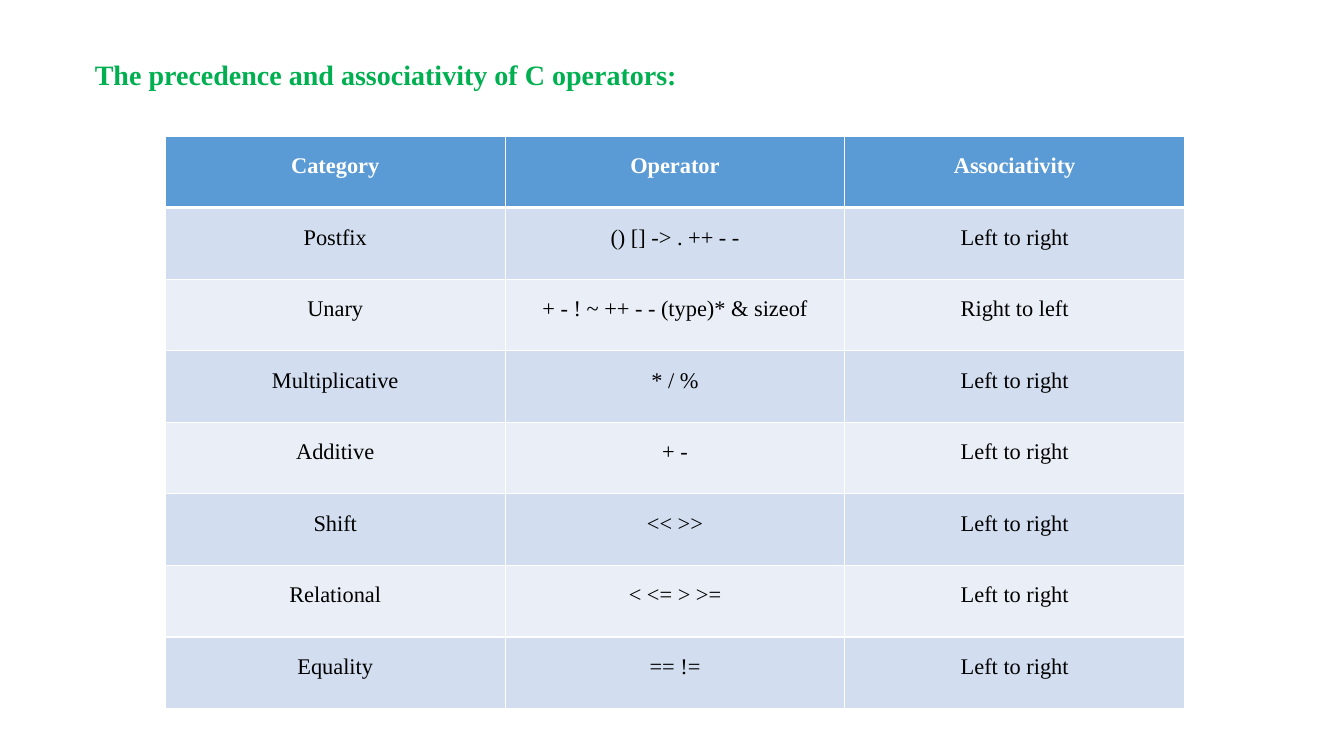
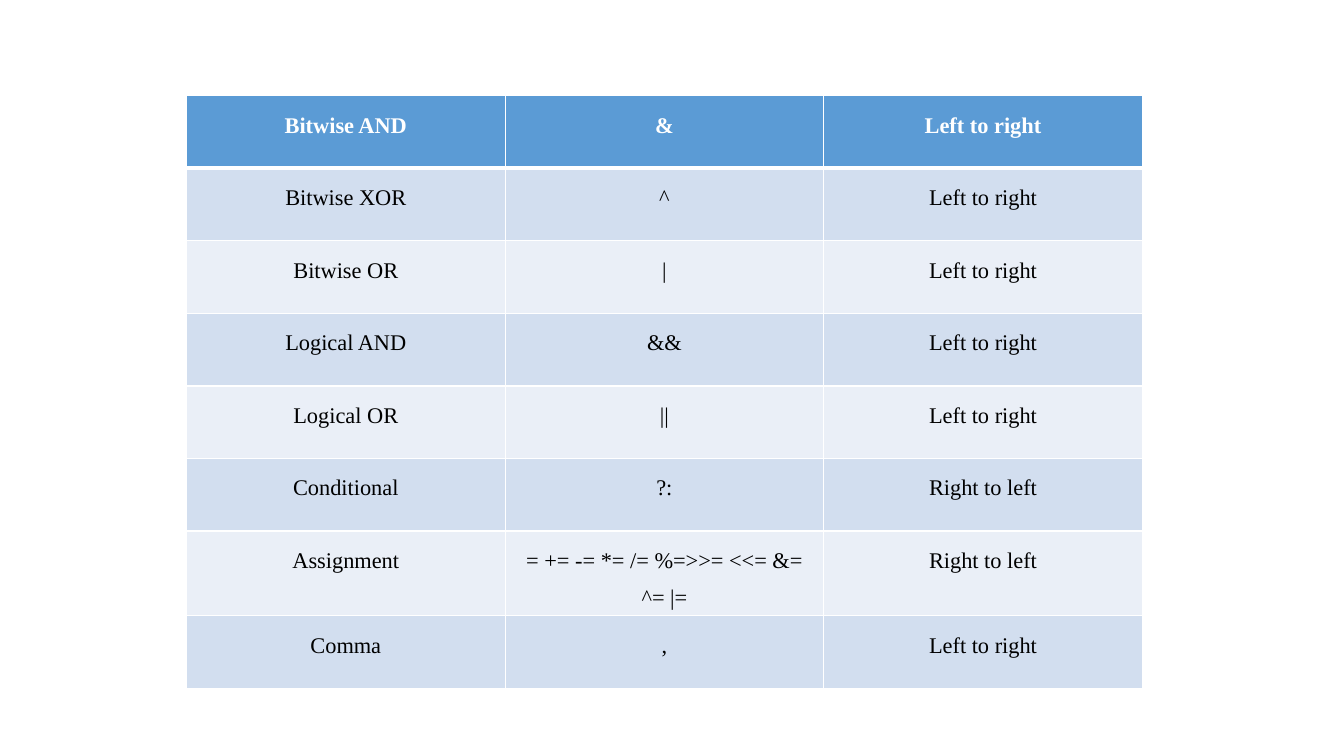
from dataclasses import dataclass
from lxml import etree
from pptx import Presentation
from pptx.dml.color import RGBColor
from pptx.enum.text import MSO_ANCHOR, MSO_AUTO_SIZE, PP_ALIGN
from pptx.oxml.ns import qn
from pptx.util import Inches, Pt

TOP = MSO_ANCHOR.TOP
LEFT, CENTER = PP_ALIGN.LEFT, PP_ALIGN.CENTER
NO_FIT = MSO_AUTO_SIZE.NONE


@dataclass(frozen=True)
class Theme:
    """Colours, font and type sizes of the deck."""
    font: str = "Times New Roman"
    title: str = "00B050"
    head: str = "5B9BD5"
    bands: tuple = ("D2DEEF", "EAEFF7")
    white: str = "FFFFFF"
    black: str = "000000"
    title_size: int = 20
    cell_size: int = 16
    rule: int = 1
    head_rule: int = 3


theme = Theme()


def add_run(para, text, size, color, bold):
    """Add one styled run to a paragraph."""
    run = para.add_run()
    run.text = text
    run.font.name = theme.font
    run.font.size = Pt(size)
    run.font.bold = bold
    run.font.color.rgb = RGBColor.from_string(color)


def add_grid(slide, rows, left, top, col_width, row_height):
    """Add a banded table with a header row and white rules."""
    count = len(rows[0])
    frame = slide.shapes.add_table(
        len(rows), count, Inches(left), Inches(top),
        Inches(col_width * count), Inches(row_height * len(rows)))
    table = frame.table
    for col in table.columns:
        col.width = Inches(col_width)
    for r, row in enumerate(rows):
        table.rows[r].height = Inches(row_height)
        head = r == 0
        fill = theme.head if head else theme.bands[(r - 1) % 2]
        ink = theme.white if head else theme.black
        # The rule under a row also serves as the top of the next row.
        rules = {"lnL": theme.rule, "lnR": theme.rule}
        if head:
            rules["lnT"] = theme.rule
        rules["lnB"] = theme.head_rule if head else theme.rule
        for c, text in enumerate(row):
            cell = table.cell(r, c)
            cell.vertical_anchor = TOP
            props = cell._tc.get_or_add_tcPr()
            for side, width in rules.items():
                line = etree.SubElement(props, qn("a:" + side), w=str(Pt(width)))
                solid = etree.SubElement(line, qn("a:solidFill"))
                etree.SubElement(solid, qn("a:srgbClr"), val=theme.white)
            cell.fill.solid()
            cell.fill.fore_color.rgb = RGBColor.from_string(fill)
            para = cell.text_frame.paragraphs[0]
            para.alignment = CENTER
            para.line_spacing = 1.5
            add_run(para, text, theme.cell_size, ink, head)


deck = Presentation()
deck.slide_width, deck.slide_height = Inches(13.33), Inches(7.5)
title_only, blank = deck.slide_layouts[5], deck.slide_layouts[6]
LTR, RTL = "Left to right", "Right to left"

# Slide 1: higher precedence
slide = deck.slides.add_slide(title_only)
title = slide.shapes.title
title.left, title.top = Inches(0.84), Inches(0.52)
title.width, title.height = Inches(6.16), Inches(0.44)
frame = title.text_frame
frame.auto_size = NO_FIT
frame.word_wrap = True
frame.vertical_anchor = TOP
frame.paragraphs[0].alignment = LEFT
add_run(frame.paragraphs[0], "The precedence and associativity of C operators:",
        theme.title_size, theme.title, True)
high = [
    ("Category", "Operator", "Associativity"),
    ("Postfix", "() [] -> . ++ - -", LTR),
    ("Unary", "+ - ! ~ ++ - - (type)* & sizeof", RTL),
    ("Multiplicative", "* / %", LTR),
    ("Additive", "+ -", LTR),
    ("Shift", "<< >>", LTR),
    ("Relational", "< <= > >=", LTR),
    ("Equality", "== !=", LTR),
]
add_grid(slide, high, 1.64, 1.35, 3.37, 0.71)

# Slide 2: lower precedence
slide = deck.slides.add_slide(blank)
low = [
    ("Bitwise AND", "&", LTR),
    ("Bitwise XOR", "^", LTR),
    ("Bitwise OR", "|", LTR),
    ("Logical AND", "&&", LTR),
    ("Logical OR", "||", LTR),
    ("Conditional", "?:", RTL),
    ("Assignment", "= += -= *= /= %=>>= <<= &= ^= |=", RTL),
    ("Comma", ",", LTR),
]
add_grid(slide, low, 1.85, 0.95, 3.16, 0.72)

deck.save("out.pptx")
